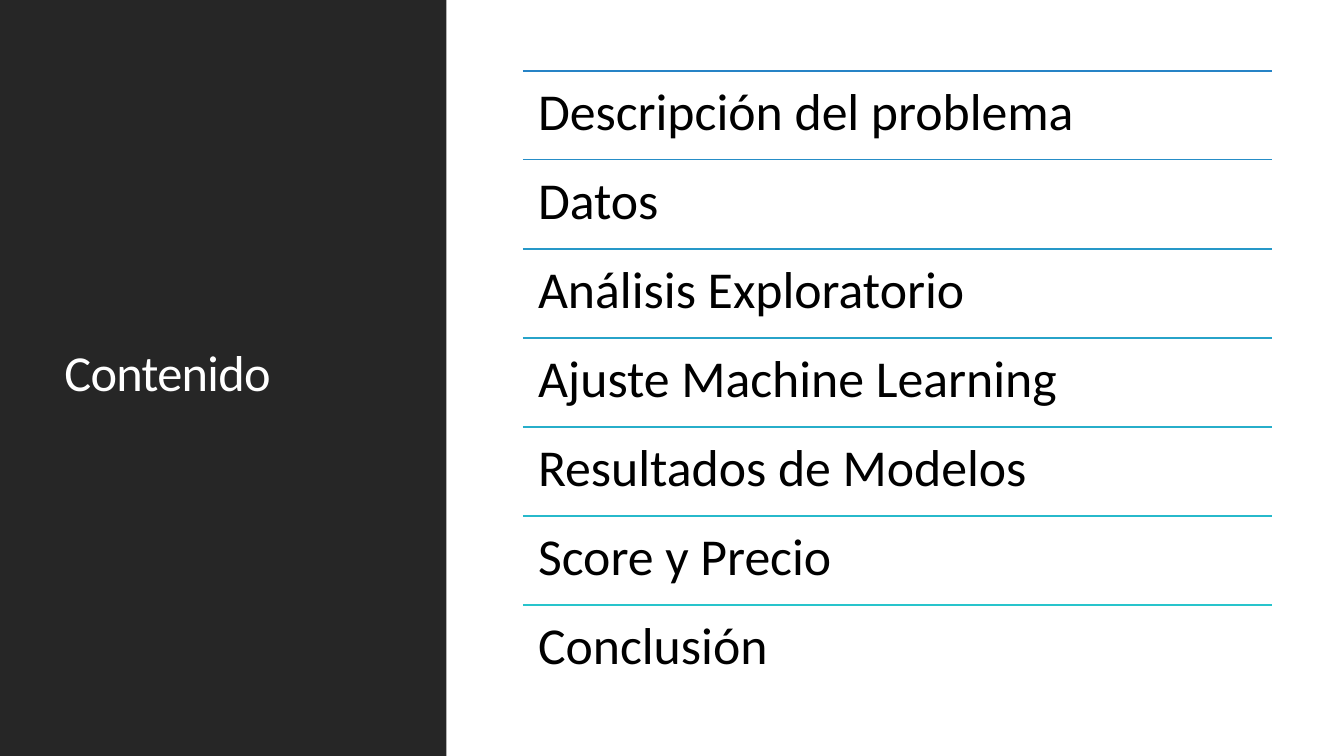
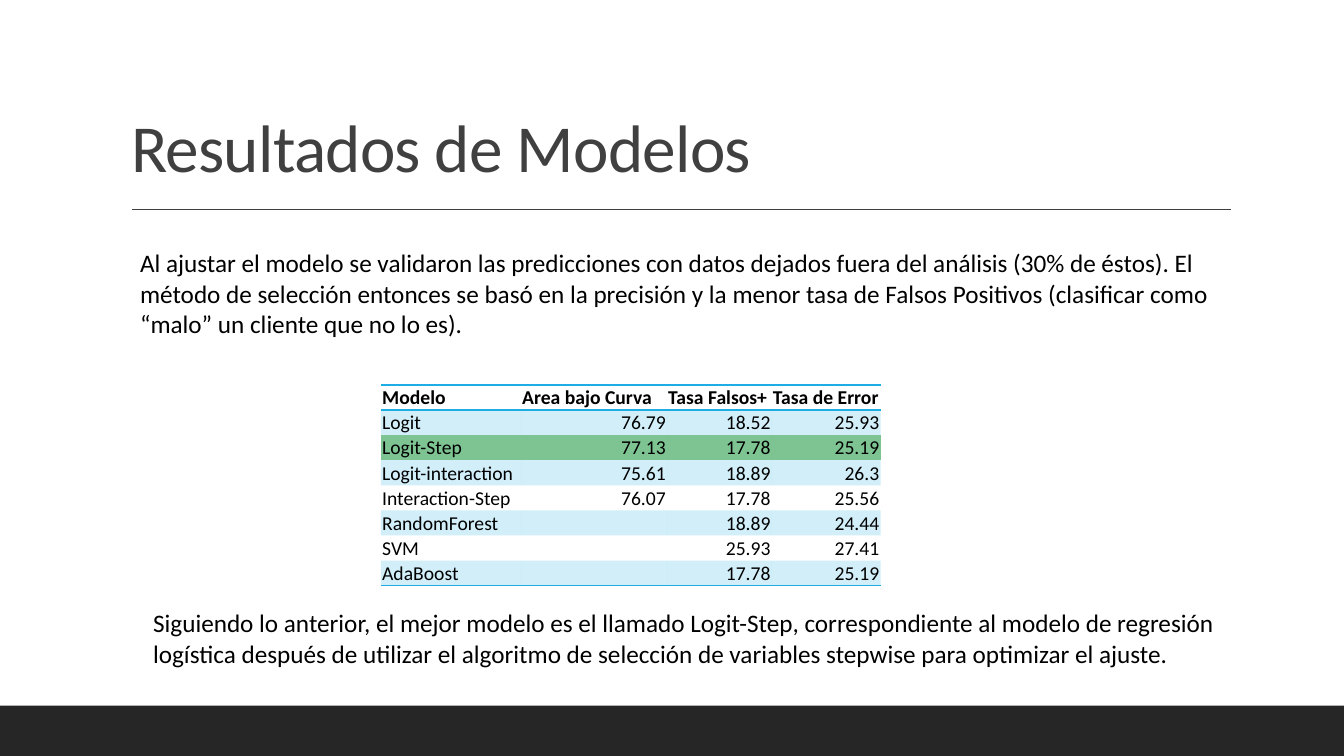
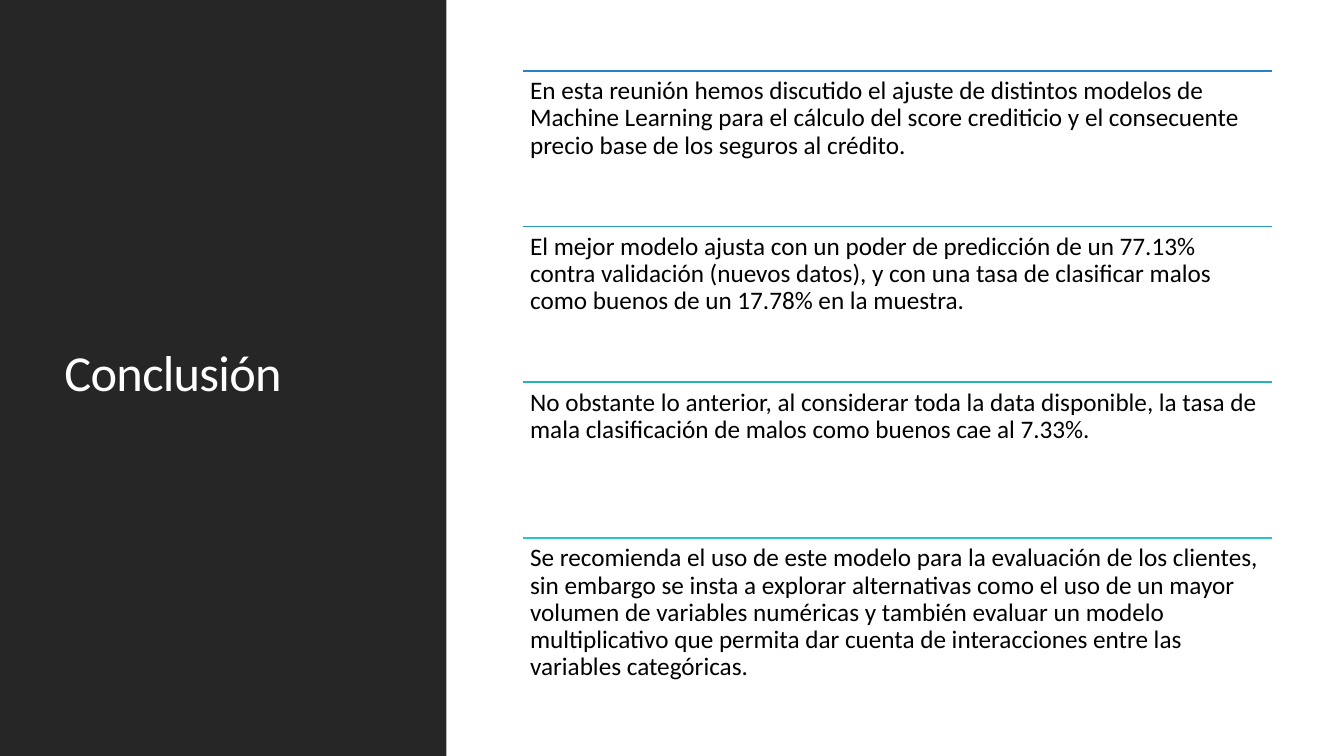
from lxml.etree import SubElement
from pptx import Presentation
from pptx.dml.color import RGBColor
from pptx.enum.shapes import MSO_CONNECTOR, MSO_SHAPE
from pptx.enum.text import MSO_ANCHOR, MSO_AUTO_SIZE, PP_ALIGN
from pptx.oxml.ns import qn
from pptx.util import Cm, Pt

FONT = "Calibri"
WHITE = RGBColor(0xFF, 0xFF, 0xFF)
BLACK = RGBColor(0x00, 0x00, 0x00)
DARK = RGBColor(0x26, 0x26, 0x26)
GRAY = RGBColor(0x40, 0x40, 0x40)
CYAN = RGBColor(0x1C, 0xAD, 0xE4)
GREEN = RGBColor(0x7E, 0xC4, 0x92)
RULE_FIRST = RGBColor(0x26, 0x83, 0xC6)
RULE_LAST = RGBColor(0x28, 0xC4, 0xCC)

SLIDE_WIDTH, SLIDE_HEIGHT = Cm(33.87), Cm(19.05)
SIDEBAR_BOX = (Cm(0), Cm(0), Cm(11.25), SLIDE_HEIGHT)
SIDEBAR_TITLE_BOX = (Cm(1.37), Cm(1.45), Cm(8.56), Cm(16.03))
LIST_BOX = (Cm(13.18), Cm(1.78), Cm(18.87), Cm(15.7))
BAND_BOX = (Cm(0), Cm(17.78), SLIDE_WIDTH, Cm(1.27))
TITLE_BOX = (Cm(3.05), Cm(0.79), Cm(27.94), Cm(4.04))
INTRODUCTION_BOX = (Cm(3.28), Cm(6.12), Cm(27.71), Cm(2.57))
CLOSING_BOX = (Cm(3.61), Cm(15.19), Cm(27.71), Cm(1.8))
TABLE_BOX = (Cm(9.6), Cm(9.7), Cm(12.59), Cm(4.96))
COLUMN_WIDTHS = (Cm(3.53), Cm(3.68), Cm(2.64), Cm(2.74))
PLAIN_TABLE_STYLE = "{2D5ABB26-0587-4C30-8999-92F81FD0307C}"

CONTENTS = (
    "Descripción del problema",
    "Datos",
    "Análisis Exploratorio",
    "Ajuste Machine Learning",
    "Resultados de Modelos",
    "Score y Precio",
    "Conclusión",
)
INTRODUCTION = (
    "Al ajustar el modelo se validaron las predicciones con datos dejados fuera del análisis "
    "(30% de éstos). El método de selección entonces se basó en la precisión y la menor tasa "
    "de Falsos Positivos (clasificar como “malo” un cliente que no lo es)."
)
CLOSING = (
    "Siguiendo lo anterior, el mejor modelo es el llamado Logit-Step, correspondiente al modelo "
    "de regresión logística después de utilizar el algoritmo de selección de variables stepwise "
    "para optimizar el ajuste."
)
RESULTS = (
    ("Modelo", "Area bajo Curva", "Tasa Falsos+", "Tasa de Error"),
    ("Logit", "76.79", "18.52", "25.93"),
    ("Logit-Step", "77.13", "17.78", "25.19"),
    ("Logit-interaction", "75.61", "18.89", "26.3"),
    ("Interaction-Step", "76.07", "17.78", "25.56"),
    ("RandomForest", "", "18.89", "24.44"),
    ("SVM", "", "25.93", "27.41"),
    ("AdaBoost", "", "17.78", "25.19"),
)
BEST_MODEL = "Logit-Step"
CONCLUSIONS = (
    "En esta reunión hemos discutido el ajuste de distintos modelos de Machine Learning para el "
    "cálculo del score crediticio y el consecuente precio base de los seguros al crédito.",
    "El mejor modelo ajusta con un poder de predicción de un 77.13% contra validación (nuevos "
    "datos), y con una tasa de clasificar malos como buenos de un 17.78% en la muestra.",
    "No obstante lo anterior, al considerar toda la data disponible, la tasa de mala "
    "clasificación de malos como buenos cae al 7.33%.",
    "Se recomienda el uso de este modelo para la evaluación de los clientes, sin embargo se "
    "insta a explorar alternativas como el uso de un mayor volumen de variables numéricas y "
    "también evaluar un modelo multiplicativo que permita dar cuenta de interacciones entre "
    "las variables categóricas.",
)


def add_run(paragraph, text, size, color=BLACK, bold=False):
    run = paragraph.add_run()
    run.text = text
    run.font.name = FONT
    run.font.size = Pt(size)
    run.font.bold = bold
    run.font.color.rgb = color
    return run


def add_panel(slide, box):
    panel = slide.shapes.add_shape(MSO_SHAPE.RECTANGLE, *box)
    panel.shadow.inherit = False
    panel.fill.solid()
    panel.fill.fore_color.rgb = DARK
    panel.line.fill.background()


def add_rule(slide, left, top, width, color, weight):
    rule = slide.shapes.add_connector(MSO_CONNECTOR.STRAIGHT, left, top, left + width, top)
    rule.line.color.rgb = color
    rule.line.width = Pt(weight)
    SubElement(rule.element.spPr, qn("a:effectLst"))


def add_text(slide, box, text, size, inset=None, line_spacing=None):
    frame = slide.shapes.add_textbox(*box).text_frame
    frame.word_wrap = True
    if inset is not None:
        frame.margin_left = frame.margin_right = inset
        frame.margin_top = frame.margin_bottom = inset
    paragraph = frame.paragraphs[0]
    paragraph.line_spacing = line_spacing
    add_run(paragraph, text, size)


def place_title(slide, box, text, size, color, anchor):
    title = slide.shapes.title
    title.left, title.top, title.width, title.height = box
    title.element.getparent().append(title.element)
    frame = title.text_frame
    frame.auto_size = MSO_AUTO_SIZE.NONE
    frame.vertical_anchor = anchor
    paragraph = frame.paragraphs[0]
    paragraph.alignment = PP_ALIGN.LEFT
    paragraph.line_spacing = 0.9
    run = add_run(paragraph, text, size, color)
    run.font._element.set("spc", "-50")


def blend(start, end, share):
    return RGBColor(*(int(a + (b - a) * share) for a, b in zip(start, end)))


def add_ruled_list(slide, box, items, size, inset):
    left, top, width, height = box
    pitch = height // len(items)
    for index, item in enumerate(items):
        row_top = top + index * pitch
        color = blend(RULE_FIRST, RULE_LAST, index / (len(items) - 1))
        add_rule(slide, left, row_top, width, color, 1.25)
        add_text(slide, (left, row_top, width, pitch), item, size, inset, 0.9)


def add_border(cell, side):
    line = SubElement(cell._tc.get_or_add_tcPr(), qn(f"a:{side}"), w=str(Pt(1)))
    fill = SubElement(line, qn("a:solidFill"))
    SubElement(fill, qn("a:srgbClr"), val=str(CYAN))


def fill_cell(cell, color, opacity=None):
    cell.fill.solid()
    cell.fill.fore_color.rgb = color
    if opacity is not None:
        color_element = cell._tc.tcPr.find(".//" + qn("a:solidFill") + "/" + qn("a:srgbClr"))
        if cell._tc.tcPr.find(qn("a:solidFill")) is not None:
            color_element = cell._tc.tcPr.find(qn("a:solidFill"))[0]
        SubElement(color_element, qn("a:alpha"), val=str(opacity * 1000))


def format_cell(cell, text, row, column, best):
    header = row == 0
    cell.margin_left = cell.margin_right = cell.margin_top = Cm(0.03)
    cell.margin_bottom = 0
    cell.vertical_anchor = MSO_ANCHOR.BOTTOM
    paragraph = cell.text_frame.paragraphs[0]
    if text:
        add_run(paragraph, text, 14, bold=header)
    else:
        SubElement(paragraph._p, qn("a:endParaRPr"), sz="1400")
    if column and not header:
        paragraph.alignment = PP_ALIGN.RIGHT
    if header:
        add_border(cell, "lnT")
    if header or row == len(RESULTS) - 1:
        add_border(cell, "lnB")
    if best:
        fill_cell(cell, GREEN)
    elif row % 2:
        fill_cell(cell, CYAN, 20)
    else:
        cell.fill.background()


def add_results_table(slide, box):
    frame = slide.shapes.add_table(len(RESULTS), len(COLUMN_WIDTHS), *box)
    frame.element.find(".//" + qn("a:tableStyleId")).text = PLAIN_TABLE_STYLE
    table = frame.table
    for column, width in zip(table.columns, COLUMN_WIDTHS):
        column.width = width
    for row, values in enumerate(RESULTS):
        for column, text in enumerate(values):
            format_cell(table.cell(row, column), text, row, column, values[0] == BEST_MODEL)


def add_title_slide(presentation):
    return presentation.slides.add_slide(presentation.slide_layouts.get_by_name("Title Only"))


def build_sidebar_slide(presentation, title, items, size, inset):
    slide = add_title_slide(presentation)
    add_panel(slide, SIDEBAR_BOX)
    place_title(slide, SIDEBAR_TITLE_BOX, title, 36, WHITE, MSO_ANCHOR.MIDDLE)
    add_ruled_list(slide, LIST_BOX, items, size, inset)


def build_results_slide(presentation):
    slide = add_title_slide(presentation)
    add_panel(slide, BAND_BOX)
    add_rule(slide, Cm(3.33), Cm(5.28), Cm(27.68), GRAY, 1)
    place_title(slide, TITLE_BOX, "Resultados de Modelos", 48, GRAY, MSO_ANCHOR.BOTTOM)
    add_results_table(slide, TABLE_BOX)
    add_text(slide, INTRODUCTION_BOX, INTRODUCTION, 18)
    add_text(slide, CLOSING_BOX, CLOSING, 18)


def main():
    presentation = Presentation()
    presentation.slide_width, presentation.slide_height = SLIDE_WIDTH, SLIDE_HEIGHT
    build_sidebar_slide(presentation, "Contenido", CONTENTS, 37, Cm(0.38))
    build_results_slide(presentation)
    build_sidebar_slide(presentation, "Conclusión", CONCLUSIONS, 18, Cm(0.18))
    presentation.save("out.pptx")


if __name__ == "__main__":
    main()
